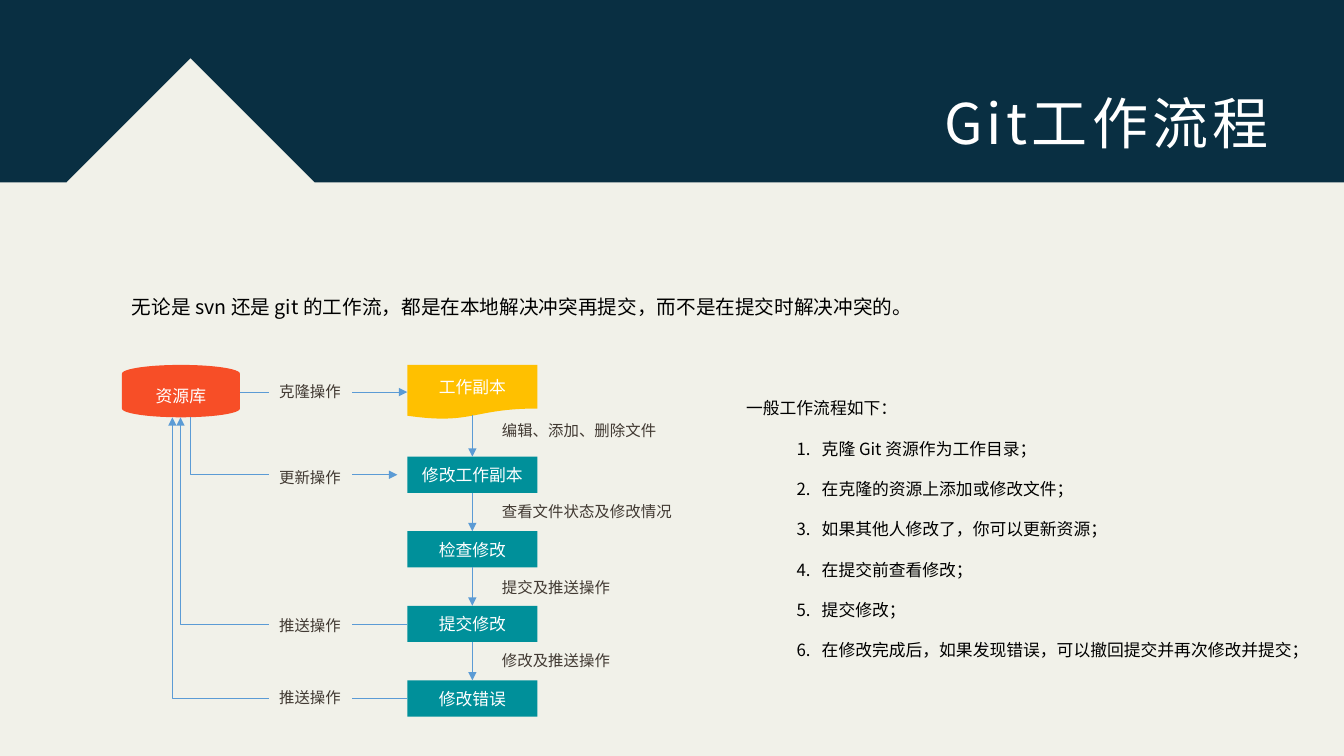
from lxml import etree
from pptx import Presentation
from pptx.dml.color import RGBColor
from pptx.enum.shapes import MSO_CONNECTOR, MSO_SHAPE
from pptx.enum.text import MSO_ANCHOR, MSO_AUTO_SIZE, PP_ALIGN
from pptx.oxml.ns import qn
from pptx.util import Inches, Pt

RECT = MSO_SHAPE.RECTANGLE
DISK = MSO_SHAPE.FLOWCHART_MAGNETIC_DISK
PAPER = MSO_SHAPE.FLOWCHART_DOCUMENT
LINE, ELBOW = MSO_CONNECTOR.STRAIGHT, MSO_CONNECTOR.ELBOW
LEFT, MID, RIGHT = PP_ALIGN.LEFT, PP_ALIGN.CENTER, PP_ALIGN.RIGHT
TOP, CENTER = MSO_ANCHOR.TOP, MSO_ANCHOR.MIDDLE
FIXED = MSO_AUTO_SIZE.NONE
FONT = "Noto Sans CJK JP"
NAVY, CREAM, WHITE, BLACK = "092F42", "F1F1E9", "FFFFFF", "000000"
RED, GOLD, TEAL, BLUE, BROWN = "F74E27", "FFC000", "00909A", "5B9BD5", "413932"


def color(code):
    """Turn a hex string into a colour."""
    return RGBColor.from_string(code)


def node(parent, tag, **attrs):
    """Add an XML child with the given attributes."""
    return etree.SubElement(parent, qn(tag), **attrs)


def write(para, text, size=12, ink=BLACK, align=LEFT, space=None, track=0):
    """Put formatted text in a paragraph."""
    para.alignment = align
    para.space_before = Pt(0)
    if space:
        para.line_spacing = space
    run = para.add_run()
    run.text = text
    run.font.size = Pt(size)
    run.font.name = FONT
    run.font.color.rgb = color(ink)
    props = run.font._element
    node(props, "a:ea", typeface=FONT)
    if track:
        props.set("spc", str(track * 100))


class Board:
    """Hold the style and the current slide."""

    def __init__(self, deck):
        """Add a slide with a plain background."""
        self.slide = deck.slides.add_slide(deck.slide_layouts[1])
        self.shapes = self.slide.shapes
        fill = self.slide.background.fill
        fill.solid()
        fill.fore_color.rgb = color(CREAM)

    def frame(self, box, wrap=True, anchor=TOP):
        """Set up the text frame of a box."""
        frame = box.text_frame
        frame.auto_size = FIXED
        frame.word_wrap = wrap
        frame.vertical_anchor = anchor
        return frame

    def holder(self, index, x, y, w, h, **style):
        """Move a placeholder to the front and return its frame."""
        box = self.slide.placeholders[index]
        box.left, box.top = Inches(x), Inches(y)
        box.width, box.height = Inches(w), Inches(h)
        box.element.getparent().append(box.element)
        return self.frame(box, **style)

    def shape(self, kind, x, y, w, h, fill):
        """Draw a flat filled shape."""
        box = self.shapes.add_shape(kind, Inches(x), Inches(y), Inches(w), Inches(h))
        box.shadow.inherit = False
        box.fill.solid()
        box.fill.fore_color.rgb = color(fill)
        box.line.fill.background()
        return box

    def step(self, kind, text, x, y, w, h, fill):
        """Draw a step of the flow."""
        box = self.shape(kind, x, y, w, h, fill)
        frame = self.frame(box, anchor=CENTER)
        write(frame.paragraphs[0], text, ink=WHITE, align=MID)
        return box

    def label(self, text, x, y, w):
        """Draw a caption that covers the line behind it."""
        box = self.shape(RECT, x, y, w, 0.29, CREAM)
        frame = self.frame(box, wrap=False)
        write(frame.paragraphs[0], text, size=11, ink=BROWN)

    def note(self, text, x, y, w, h):
        """Draw a text box."""
        box = self.shapes.add_textbox(Inches(x), Inches(y), Inches(w), Inches(h))
        write(self.frame(box).paragraphs[0], text, size=14, space=2.0)

    def arrow(self, kind, x1, y1, x2, y2, end="a:tailEnd"):
        """Draw a thin line with one arrowhead."""
        link = self.shapes.add_connector(
            kind, Inches(x1), Inches(y1), Inches(x2), Inches(y2))
        link.line.color.rgb = color(BLUE)
        link.line.width = Pt(0.5)
        props = link.element.spPr
        node(props.find(qn("a:ln")), end, type="triangle")
        node(props, "a:effectLst")
        if kind == ELBOW:
            geom = props.find(qn("a:prstGeom"))
            for old in geom.findall(qn("a:avLst")):
                geom.remove(old)
            node(node(geom, "a:avLst"), "a:gd", name="adj1", fmla="val 0")
        return link

    def items(self, frame, head, rows):
        """Fill a frame with a heading and a numbered list."""
        first = frame.paragraphs[0]
        props = first._p.get_or_add_pPr()
        props.set("marL", "0")
        props.set("indent", "0")
        node(props, "a:buNone")
        write(first, head, space=2.0)
        for row in rows:
            para = frame.add_paragraph()
            para.level = 1
            props = para._p.get_or_add_pPr()
            props.set("marL", str(Inches(0.75)))
            props.set("indent", str(Inches(-0.25)))
            node(props, "a:buFont", typeface="+mj-lt")
            node(props, "a:buAutoNum", type="arabicPeriod")
            write(para, row, space=2.0)


def main():
    """Build the slide and save it."""
    deck = Presentation()
    deck.slide_width, deck.slide_height = Inches(13.33), Inches(7.5)
    board = Board(deck)

    board.shape(RECT, 0, 0, 13.33, 1.81, NAVY)
    board.shape(RECT, 1.02, 0.94, 1.74, 1.74, CREAM).rotation = 45
    title = board.holder(0, 8.93, 0.83, 3.75, 0.77, wrap=False, anchor=CENTER)
    write(title.paragraphs[0], "Git工作流程", size=40, ink=WHITE, align=RIGHT, track=3)
    board.note("无论是 svn 还是 git 的工作流，都是在本地解决冲突再提交，而不是在提交时解决冲突的。",
               1.21, 2.64, 10.91, 0.51)
    body = board.holder(1, 7.3, 3.7, 6.03, 2.93)
    board.items(body, "一般工作流程如下：", [
        "克隆 Git 资源作为工作目录；",
        "在克隆的资源上添加或修改文件；",
        "如果其他人修改了，你可以更新资源；",
        "在提交前查看修改；",
        "提交修改；",
        "在修改完成后，如果发现错误，可以撤回提交并再次修改并提交；",
    ])

    board.step(DISK, "资源库", 1.21, 3.62, 1.17, 0.52, RED)
    paper = board.step(PAPER, "工作副本", 4.04, 3.62, 1.29, 0.54, GOLD)
    names = ["修改工作副本", "检查修改", "提交修改", "修改错误"]
    steps = [board.step(RECT, name, 4.04, 4.53 + 0.74 * i, 1.29, 0.36, TEAL)
             for i, name in enumerate(names)]

    last = None
    for box in steps:
        link = board.arrow(LINE, 4.685, 4.12, 4.685, 4.53)
        if last:
            link.begin_connect(last, 2)
        link.end_connect(box, 0)
        last = box
    board.arrow(LINE, 2.38, 3.89, 4.04, 3.89).end_connect(paper, 1)
    board.arrow(ELBOW, 1.89, 4.14, 3.94, 4.71)
    for x, y in [(1.79, 6.19), (1.71, 6.93)]:
        board.arrow(ELBOW, x, 4.14, 4.04, y, end="a:headEnd")

    for text, y in [("克隆操作", 3.74), ("更新操作", 4.59),
                    ("推送操作", 6.06), ("推送操作", 6.78)]:
        board.label(text, 2.67, y, 0.82)
    for text, y, w in [("编辑、添加、删除文件", 4.13, 1.74),
                       ("查看文件状态及修改情况", 4.93, 1.9),
                       ("提交及推送操作", 5.69, 1.28),
                       ("修改及推送操作", 6.41, 1.28)]:
        board.label(text, 4.88, y, w)
    deck.save("out.pptx")


if __name__ == "__main__":
    main()
